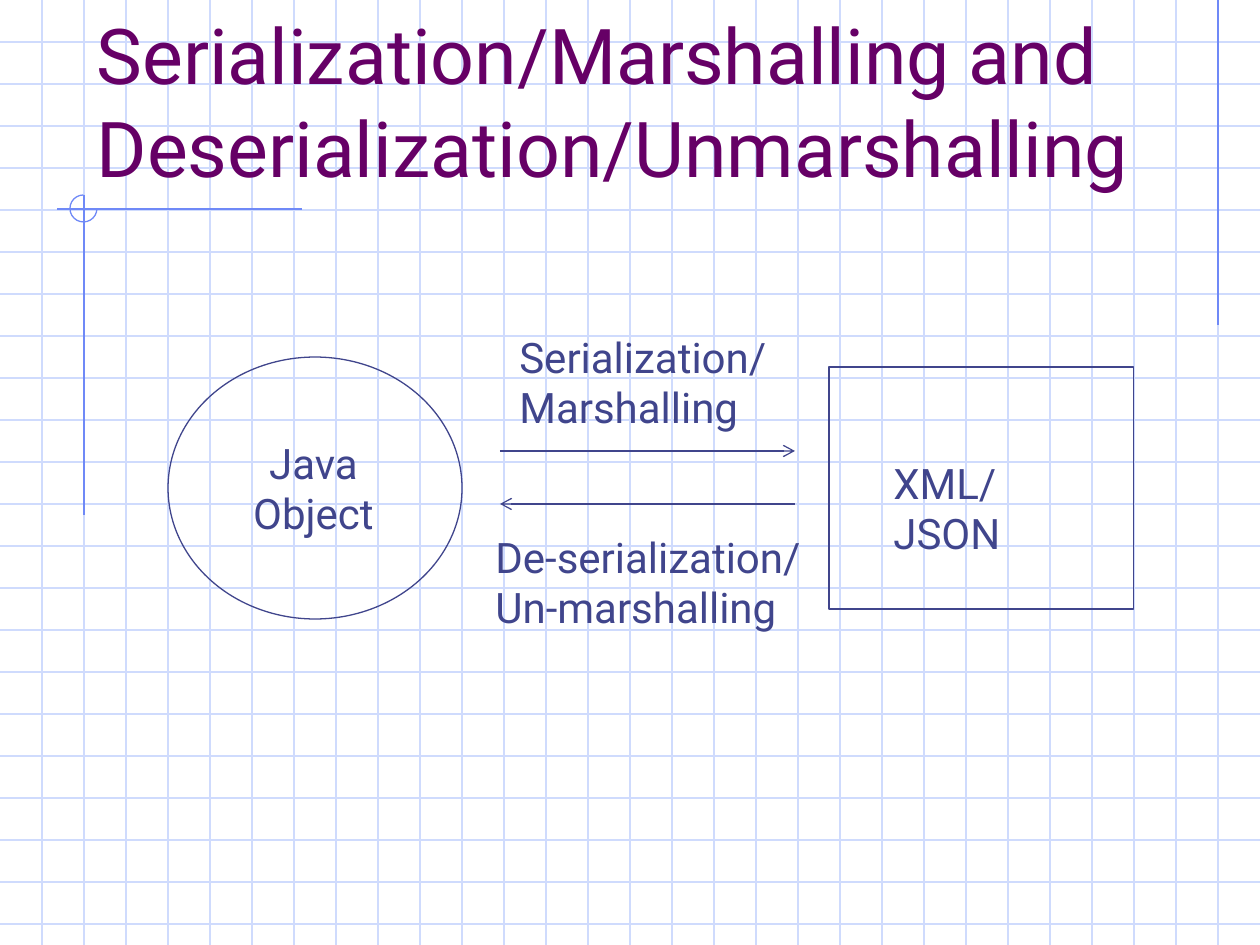
"""Build the serialization and deserialization diagram slide."""
from lxml import etree
from pptx import Presentation, util as u
from pptx.dml.color import RGBColor
from pptx.enum import shapes, text
from pptx.oxml.ns import qn

PX = u.Inches(1) // 126
W, H, GRID = 1260, 945, 42
FONT = "Roboto"
PALE = RGBColor(0xCF, 0xDB, 0xFD)
BLUE = RGBColor(0x6F, 0x89, 0xF7)
INK = RGBColor(0x40, 0x45, 0x8C)
PURPLE = RGBColor(0x66, 0x00, 0x66)

TITLE = "Serialization/Marshalling and Deserialization/Unmarshalling"
TITLE_BOX = (84, 42, 1071, 157)
ACCENTS = [(1218, 0, 1218, 325), (302, 209, 57, 209), (84, 195, 84, 515)]
ACCENT_ARC = (70, 195, 27, 27)
NODES = [
    (shapes.MSO_SHAPE.RECTANGLE, (829, 367, 305, 242)),
    (shapes.MSO_SHAPE.OVAL, (168, 357, 294, 262)),
]
ARROWS = [(500, 451, 795, 451), (795, 504, 500, 504)]
LABELS = [
    ("Java\nObject", (237, 431, 153, 113), text.PP_ALIGN.CENTER),
    ("XML/\vJSON", (881, 451, 224, 113), text.PP_ALIGN.LEFT),
    ("Serialization/\nMarshalling", (507, 325, 281, 113), text.PP_ALIGN.LEFT),
    ("De-serialization/\nUn-marshalling", (483, 525, 347, 113), text.PP_ALIGN.LEFT),
]


def emu(box):
    return [v * PX for v in box]


def add_line(s, ends, color, arrow=False):
    c = s.shapes.add_connector(shapes.MSO_CONNECTOR.STRAIGHT, *emu(ends))
    c.line.color.rgb = color
    c.line.width = u.Pt(0.75)
    if arrow:
        etree.SubElement(c.line._get_or_add_ln(), qn("a:tailEnd"), type="arrow")
    etree.SubElement(c.element.spPr, qn("a:effectLst"))


def add_outline(s, kind, box, color):
    sp = s.shapes.add_shape(kind, *emu(box))
    sp.shadow.inherit = False
    sp.fill.background()
    sp.line.color.rgb = color
    sp.line.width = u.Pt(0.75)
    return sp


def write(tf, content, size, color, align):
    tf.text = content
    for p in tf.paragraphs:
        p.alignment = align
        for r in p.runs:
            r.font.name = FONT
            r.font.size = u.Pt(size)
            r.font.color.rgb = color


def main():
    prs = Presentation()
    prs.slide_width, prs.slide_height = W * PX, H * PX
    s = prs.slides.add_slide(prs.slide_layouts[5])

    for y in range(GRID, H, GRID):
        add_line(s, (0, y, W, y), PALE)
    for x in range(GRID, W, GRID):
        add_line(s, (x, 0, x, H), PALE)
    for ends in ACCENTS:
        add_line(s, ends, BLUE)
    arc = add_outline(s, shapes.MSO_SHAPE.ARC, ACCENT_ARC, BLUE)
    arc.adjustments[0], arc.adjustments[1] = 0, 162

    title = s.shapes.title
    title.left, title.top, title.width, title.height = emu(TITLE_BOX)
    tf = title.text_frame
    tf.word_wrap = True
    tf.auto_size = text.MSO_AUTO_SIZE.NONE
    tf.vertical_anchor = text.MSO_ANCHOR.BOTTOM
    write(tf, TITLE, 44, PURPLE, text.PP_ALIGN.LEFT)
    s.shapes.element.append(title.element)

    for kind, box in NODES:
        add_outline(s, kind, box, INK)
    for ends in ARROWS:
        add_line(s, ends, INK, arrow=True)
    for content, box, align in LABELS:
        tf = s.shapes.add_textbox(*emu(box)).text_frame
        tf.word_wrap = False
        write(tf, content, 24, INK, align)

    prs.save("out.pptx")


if __name__ == "__main__":
    main()
